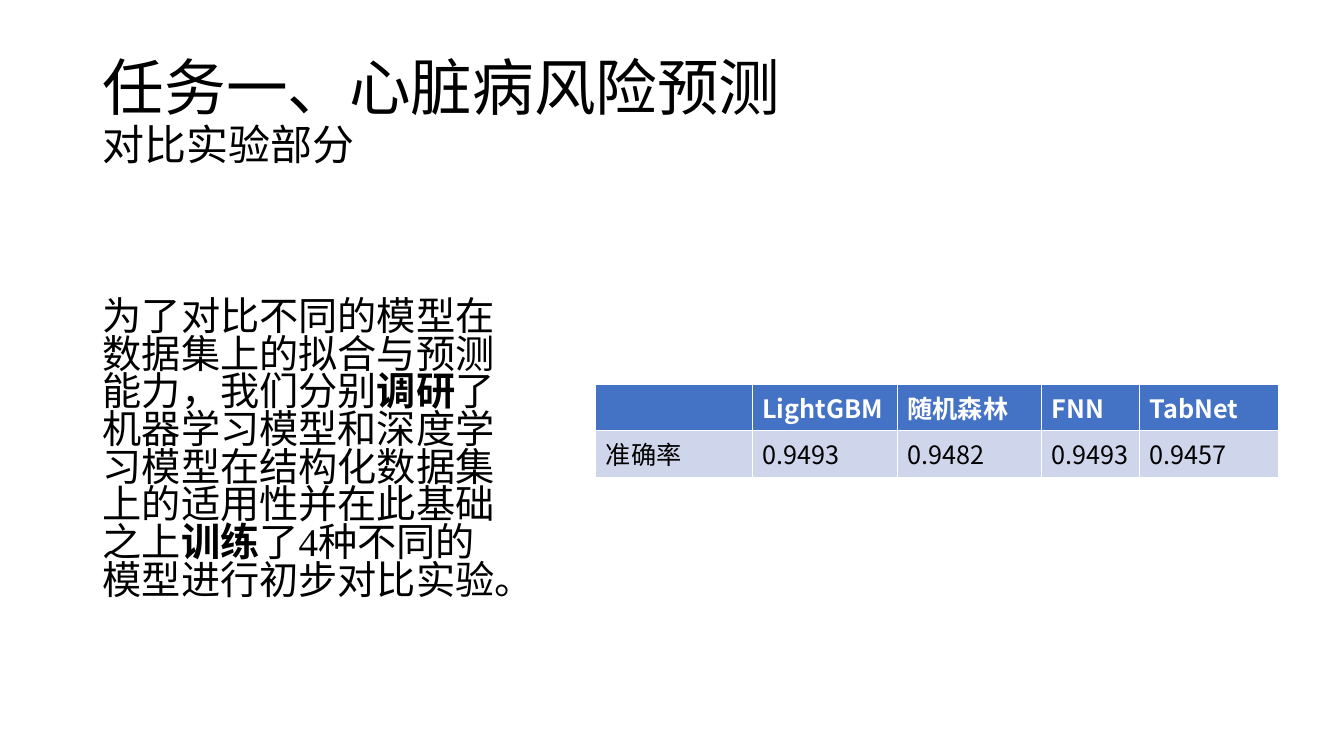
"""Build the slide comparing models for heart disease risk prediction."""
from lxml import etree
from pptx import Presentation
from pptx.dml.color import RGBColor
from pptx.enum import text
from pptx.oxml import ns
from pptx.util import Inches, Pt

TITLE = [("任务一、心脏病风险预测", 44, False), ("对比实验部分", 30, False)]
BODY = [
    ("为了对比不同的模型在数据集上的拟合与预测能力，我们分别", 28, False),
    ("调研", 28, True),
    ("了机器学习模型和深度学习模型在结构化数据集上的适用性并在此基础之上", 28, False),
    ("训练", 28, True),
    ("了4种不同的模型进行初步对比实验。", 28, False),
]
ACCURACY = [
    ("", "LightGBM", "随机森林", "FNN", "TabNet"),
    ("准确率", "0.9493", "0.9482", "0.9493", "0.9457"),
]
COLUMN_WIDTHS = (1.55, 1.44, 1.43, 0.97, 1.38)
ROW_HEIGHT = 0.42

BLACK = RGBColor(0x00, 0x00, 0x00)
WHITE = RGBColor(0xFF, 0xFF, 0xFF)
HEADER_BLUE = RGBColor(0x44, 0x72, 0xC4)
ROW_BLUE = RGBColor(0xCF, 0xD5, 0xEA)
LATIN_FONT = "Times New Roman"
CHINESE_FONT = "Noto Sans CJK SC"


def apply(target, values):
    for name, value in values.items():
        setattr(target, name, value)


def add_span(para, words, size, bold, color, font):
    span = para.add_run()
    span.text = words
    apply(span.font, {"size": Pt(size), "bold": bold, "name": font})
    span.font.color.rgb = color
    east_asian = etree.SubElement(span.font._element, ns.qn("a:ea"))
    east_asian.set("typeface", CHINESE_FONT)


def place(box, left, top, width, height, anchor):
    apply(box, {"left": Inches(left), "top": Inches(top),
                "width": Inches(width), "height": Inches(height)})
    apply(box.text_frame, {"word_wrap": True, "vertical_anchor": anchor,
                           "auto_size": text.MSO_AUTO_SIZE.NONE})
    return box.text_frame.paragraphs[0]


def add_title(page):
    para = place(page.shapes.title, 0.92, 0.4, 11.5, 1.45, text.MSO_ANCHOR.MIDDLE)
    apply(para, {"alignment": text.PP_ALIGN.LEFT, "line_spacing": 0.9})
    for index, (words, size, bold) in enumerate(TITLE):
        if index:
            para.add_line_break()
        add_span(para, words, size, bold, BLACK, LATIN_FONT)


def add_body(page):
    para = place(page.placeholders[1], 0.92, 2.93, 4.17, 3.82, text.MSO_ANCHOR.TOP)
    apply(para, {"alignment": text.PP_ALIGN.LEFT, "line_spacing": 0.8,
                 "space_before": Pt(10)})
    properties = para._p.get_or_add_pPr()
    properties.set("marL", "0")
    properties.set("indent", "0")
    etree.SubElement(properties, ns.qn("a:buNone"))
    for words, size, bold in BODY:
        add_span(para, words, size, bold, BLACK, LATIN_FONT)


def add_accuracy_table(page):
    table = page.shapes.add_table(
        len(ACCURACY), len(COLUMN_WIDTHS), Inches(5.91), Inches(3.81),
        Inches(sum(COLUMN_WIDTHS)), Inches(ROW_HEIGHT * len(ACCURACY))).table
    for column, width in zip(table.columns, COLUMN_WIDTHS):
        column.width = Inches(width)
    for row_index, row in enumerate(ACCURACY):
        table.rows[row_index].height = Inches(ROW_HEIGHT)
        header = row_index == 0
        for column_index, words in enumerate(row):
            cell = table.cell(row_index, column_index)
            cell.vertical_anchor = text.MSO_ANCHOR.MIDDLE
            cell.fill.solid()
            cell.fill.fore_color.rgb = HEADER_BLUE if header else ROW_BLUE
            if words:
                add_span(cell.text_frame.paragraphs[0], words, 18, header,
                         WHITE if header else BLACK, CHINESE_FONT)


def main():
    deck = Presentation()
    apply(deck, {"slide_width": Inches(13.33), "slide_height": Inches(7.5)})
    page = deck.slides.add_slide(deck.slide_layouts[1])
    add_title(page)
    add_body(page)
    add_accuracy_table(page)
    deck.save("out.pptx")


if __name__ == "__main__":
    main()
